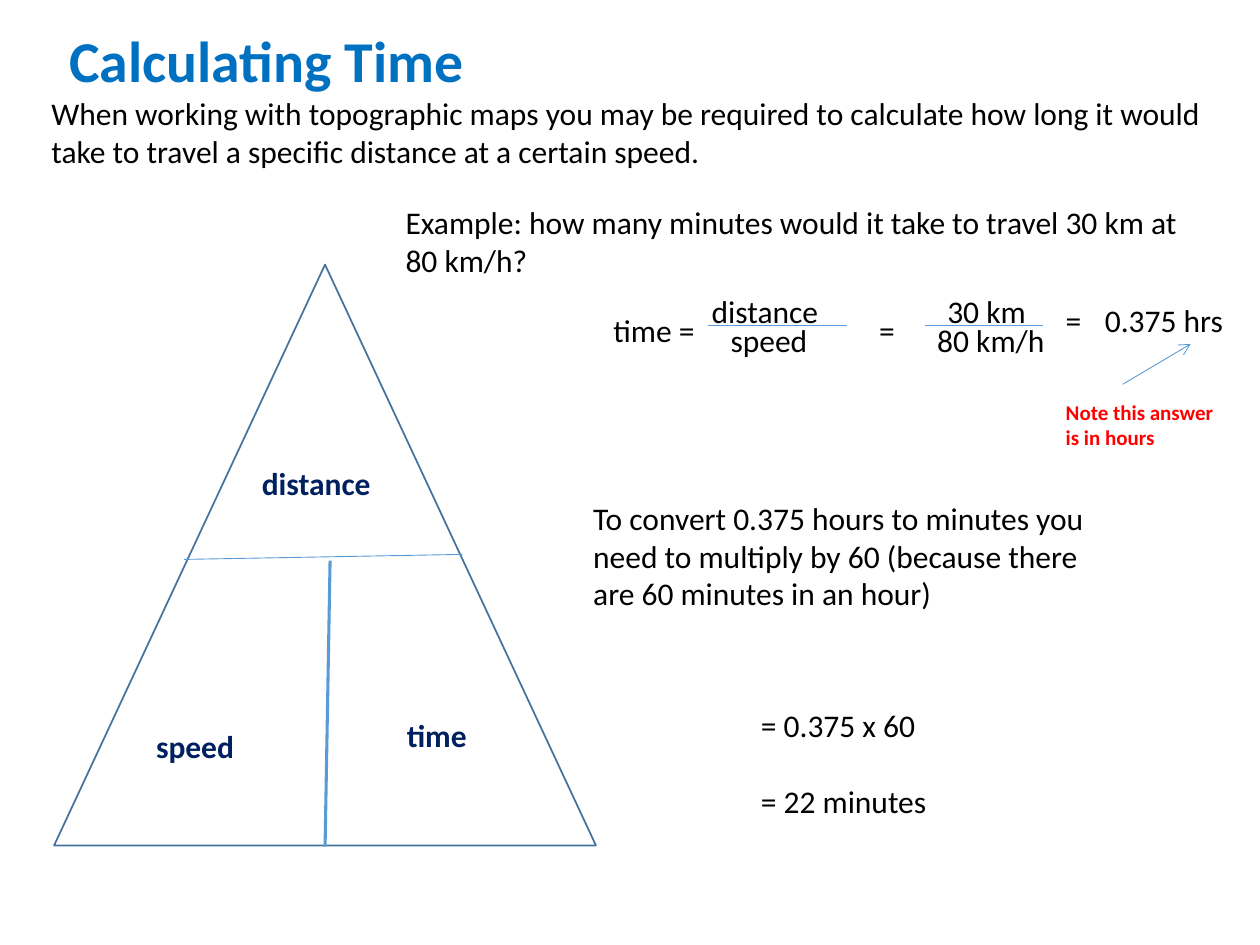
"""Build the "Calculating Time" slide with its distance, speed and time triangle."""
from dataclasses import dataclass

from lxml import etree
from pptx import Presentation
from pptx.dml.color import RGBColor
from pptx.enum.shapes import MSO_CONNECTOR, MSO_SHAPE
from pptx.enum.text import MSO_ANCHOR
from pptx.oxml.ns import qn
from pptx.util import Emu, Pt

STRAIGHT = MSO_CONNECTOR.STRAIGHT
TRIANGLE = MSO_SHAPE.ISOSCELES_TRIANGLE
TOP, MIDDLE = MSO_ANCHOR.TOP, MSO_ANCHOR.MIDDLE
PX = 9144
FONT = "Calibri"
COLORS = {
    "title": "0070C0",
    "body": "000000",
    "note": "FF0000",
    "label": "002060",
    "line": "5B9BD5",
    "outline": "43739E",
    "paper": "FFFFFF",
}


@dataclass(frozen=True)
class Label:
    text: str
    x: int
    y: int
    w: int
    h: int = 40
    wrap: bool = False


@dataclass(frozen=True)
class Line:
    x1: int
    y1: int
    x2: int
    y2: int
    width: float = 0.5
    arrow: bool = False


FORMULA = [
    Label("time =", 477, 242, 91),
    Label("distance", 555, 227, 156, wrap=True),
    Label("speed", 570, 250, 86, wrap=True),
    Label("=", 688, 242, 33),
    Label("30 km", 742, 227, 83),
    Label("80 km/h", 734, 250, 106),
    Label("=", 836, 234, 33),
    Label("0.375 hrs", 867, 234, 115),
]
PASSAGES = [
    Label("When working with topographic maps you may be required to calculate "
          "how long it would take to travel a specific distance at a certain speed.",
          31, 70, 945, 71, True),
    Label("Example: how many minutes would it take to travel 30 km at 80 km/h?",
          312, 156, 648, 101, True),
    Label("To convert 0.375 hours to minutes you need to multiply by 60 "
          "(because there are 60 minutes in an hour)", 461, 391, 414, 101, True),
    Label("= 0.375 x 60\n= 22 minutes", 594, 555, 179, 101, True),
]
FORMULA_LINES = [
    Line(562, 258, 672, 258),
    Line(734, 258, 828, 258),
    Line(891, 305, 945, 273, arrow=True),
]
TRIANGLE_LINES = [Line(146, 444, 367, 440), Line(262, 445, 258, 672, 1.75)]
TRIANGLE_LABELS = [
    Label("speed", 114, 572, 86, wrap=True),
    Label("distance", 198, 363, 107),
    Label("time", 313, 563, 68),
]


def px(*values: int) -> list[Emu]:
    """Turn px lengths into EMU."""
    return [Emu(v * PX) for v in values]


def rgb(name: str) -> RGBColor:
    """Look up a named colour."""
    return RGBColor.from_string(COLORS[name])


def add_text(shapes, label: Label, size: int = 18, color: str = "body",
             bold: bool = False, anchor=TOP, spacing: float = 1.0, gap: int = 22) -> None:
    """Add a text box with one paragraph per line of the label."""
    tf = shapes.add_textbox(*px(label.x, label.y, label.w, label.h)).text_frame
    tf.word_wrap = label.wrap
    tf.vertical_anchor = anchor
    for i, text in enumerate(label.text.split("\n")):
        p = tf.add_paragraph() if i else tf.paragraphs[0]
        p.line_spacing = spacing
        if i:
            p.space_before = Pt(gap)
        r = p.add_run()
        r.text = text
        r.font.name = FONT
        r.font.size = Pt(size)
        r.font.bold = bold
        r.font.color.rgb = rgb(color)


def add_line(shapes, line: Line) -> None:
    """Add a straight line, with an open arrowhead at its end if asked."""
    cxn = shapes.add_connector(STRAIGHT, *px(line.x1, line.y1, line.x2, line.y2))
    cxn.line.color.rgb = rgb("line")
    cxn.line.width = Pt(line.width)
    if line.arrow:
        etree.SubElement(cxn.line._get_or_add_ln(), qn("a:tailEnd"), type="arrow")
    etree.SubElement(cxn._element.spPr, qn("a:effectLst"))


def add_triangle(shapes) -> None:
    """Add the grouped formula triangle."""
    group = shapes.add_group_shape().shapes
    sp = group.add_shape(TRIANGLE, *px(43, 210, 430, 461))
    sp.shadow.inherit = False
    sp.fill.solid()
    sp.fill.fore_color.rgb = rgb("paper")
    sp.line.color.rgb = rgb("outline")
    sp.line.width = Pt(1)
    for line in TRIANGLE_LINES:
        add_line(group, line)
    for label in TRIANGLE_LABELS:
        add_text(group, label, color="label", bold=True)


def main() -> None:
    """Build and save the slide."""
    prs = Presentation()
    prs.slide_width, prs.slide_height = px(1000, 750)
    s = prs.slides.add_slide(prs.slide_layouts[6])
    add_text(s.shapes, Label("Calculating Time", 45, -12, 900, 125, True),
             size=33, color="title", bold=True, anchor=MIDDLE, spacing=0.9)
    for label in PASSAGES + FORMULA:
        add_text(s.shapes, label)
    add_text(s.shapes, Label("Note this answer is in hours", 836, 312, 141, 51, True),
             size=12, color="note", bold=True)
    for line in FORMULA_LINES:
        add_line(s.shapes, line)
    add_triangle(s.shapes)
    prs.save("out.pptx")


if __name__ == "__main__":
    main()
